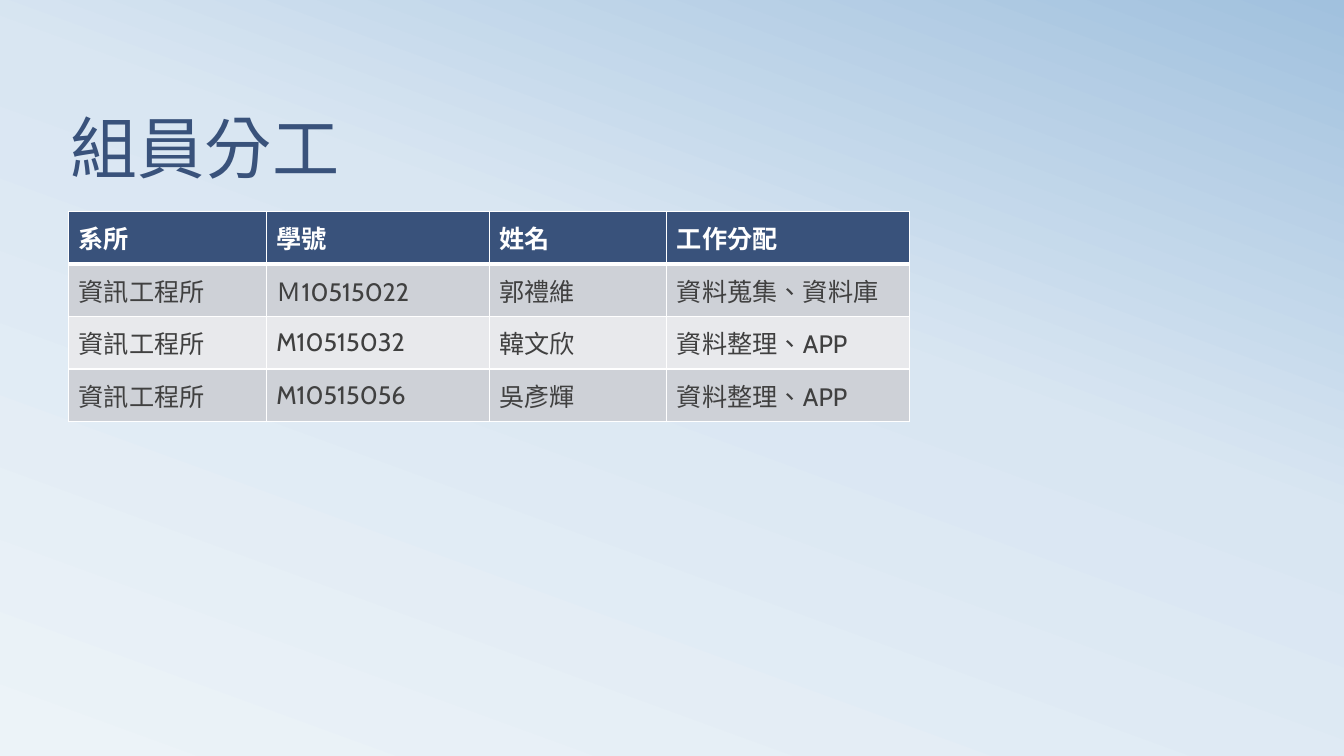
from copy import deepcopy

from lxml.etree import SubElement
from pptx import Presentation
from pptx.dml.color import RGBColor
from pptx.enum.text import MSO_ANCHOR as Anchor, MSO_AUTO_SIZE as AutoSize, PP_ALIGN as Align
from pptx.oxml.ns import qn
from pptx.util import Pt

NAVY = RGBColor(0x39, 0x52, 0x7B)
WHITE = RGBColor(0xFF, 0xFF, 0xFF)
DARK_GRAY = RGBColor(0x40, 0x40, 0x40)
BAND_DARK = RGBColor(0xCE, 0xD1, 0xD7)
BAND_LIGHT = RGBColor(0xE8, 0xE9, 0xEC)
BACKGROUND_STOPS = [
    (0, RGBColor(0xEC, 0xF3, 0xF8)),
    (0.58, RGBColor(0xD9, 0xE6, 0xF2)),
    (1, RGBColor(0xA1, 0xC1, 0xDE)),
]
LATIN_FONT = "Cabin"
CHINESE_FONT = "Noto Sans CJK SC"

COLUMN_WIDTHS = [141.3, 159.2, 126.9, 173.4]
ROW_HEIGHT = 37.5
MEMBERS = [
    ["系所", "學號", "姓名", "工作分配"],
    ["資訊工程所", "Ｍ10515022", "郭禮維", "資料蒐集、資料庫"],
    ["資訊工程所", "M10515032", "韓文欣", "資料整理、APP"],
    ["資訊工程所", "M10515056", "吳彥輝", "資料整理、APP"],
]


def set_attributes(target, values):
    for name, value in values.items():
        setattr(target, name, value)


def write_text(text_frame, text, color, font_values):
    paragraph = text_frame.paragraphs[0]
    paragraph.alignment = Align.LEFT
    run = paragraph.add_run()
    run.text = text
    set_attributes(run.font, font_values)
    run.font.color.rgb = color
    # East Asian typeface and language
    properties = run.font._element
    properties.set("lang", "zh-TW")
    east_asian = SubElement(properties, qn("a:ea"))
    east_asian.set("typeface", CHINESE_FONT)
    properties.find(qn("a:latin")).addnext(east_asian)
    return paragraph


def paint_background(slide):
    fill = slide.background.fill
    fill.gradient()
    fill.gradient_angle = 70
    first_stop = fill._fill._gradFill.find(qn("a:gsLst"))[0]
    first_stop.addnext(deepcopy(first_stop))
    for stop, (position, color) in zip(fill.gradient_stops, BACKGROUND_STOPS):
        stop.position = position
        stop.color.rgb = color


def add_title(slide, text):
    title = slide.shapes.title
    set_attributes(title, {"left": Pt(43.2), "top": Pt(49), "width": Pt(648), "height": Pt(87.8)})
    frame = title.text_frame
    set_attributes(frame, {"auto_size": AutoSize.NONE, "word_wrap": True,
                           "vertical_anchor": Anchor.BOTTOM})
    paragraph = write_text(frame, text, NAVY, {"size": Pt(48), "name": CHINESE_FONT})
    paragraph.line_spacing = 0.8


def set_borders(cell, widths):
    properties = cell._tc.get_or_add_tcPr()
    for index, (side, width) in enumerate(widths.items()):
        line = properties.makeelement(qn(f"a:ln{side}"), {"w": str(Pt(width))})
        color = SubElement(SubElement(line, qn("a:solidFill")), qn("a:srgbClr"))
        color.set("val", str(WHITE))
        properties.insert(index, line)


def add_member_table(slide, rows):
    frame = slide.shapes.add_table(len(rows), len(COLUMN_WIDTHS), Pt(49), Pt(151.2),
                                   Pt(sum(COLUMN_WIDTHS)), Pt(ROW_HEIGHT * len(rows)))
    table = frame.table
    for column, width in zip(table.columns, COLUMN_WIDTHS):
        column.width = Pt(width)
    for row_index, row in enumerate(rows):
        table.rows[row_index].height = Pt(ROW_HEIGHT)
        is_header = row_index == 0
        band = BAND_DARK if row_index % 2 else BAND_LIGHT
        for column_index, text in enumerate(row):
            cell = table.cell(row_index, column_index)
            cell.vertical_anchor = Anchor.MIDDLE
            cell.fill.solid()
            cell.fill.fore_color.rgb = NAVY if is_header else band
            write_text(cell.text_frame, text, WHITE if is_header else DARK_GRAY,
                       {"size": Pt(18), "name": LATIN_FONT, "bold": is_header})
            # Thick rule between the header and the first member
            set_borders(cell, {"L": 1, "R": 1, "T": 3 if row_index == 1 else 1,
                               "B": 3 if is_header else 1})


def main():
    presentation = Presentation()
    set_attributes(presentation, {"slide_width": Pt(960), "slide_height": Pt(540)})
    slide = presentation.slides.add_slide(presentation.slide_layouts[5])
    paint_background(slide)
    add_title(slide, "組員分工")
    add_member_table(slide, MEMBERS)
    presentation.save("out.pptx")


if __name__ == "__main__":
    main()
